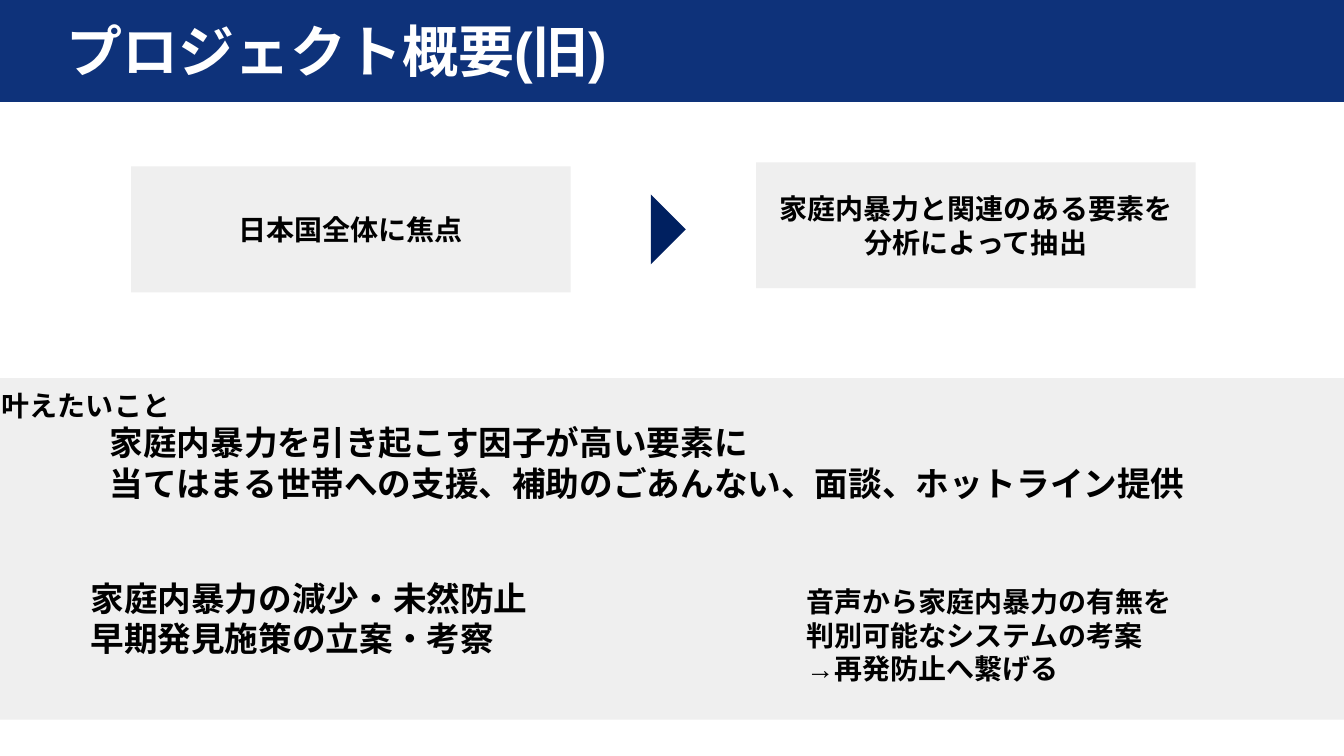
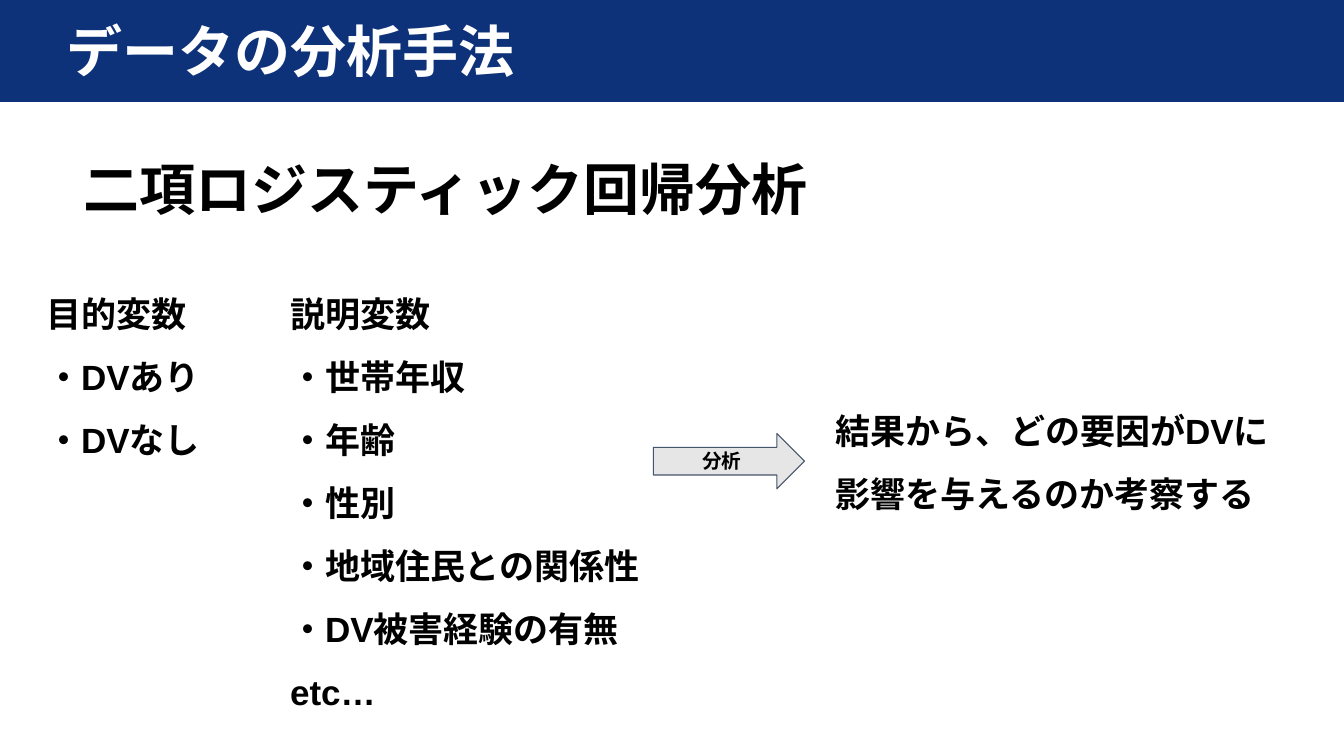
"""Build two slides on a project overview and its data analysis method."""
from dataclasses import dataclass

from lxml.etree import SubElement
from pptx import Presentation
from pptx.dml.color import RGBColor
from pptx.enum.lang import MSO_LANGUAGE_ID
from pptx.enum.shapes import MSO_SHAPE
from pptx.enum.text import MSO_ANCHOR, MSO_AUTO_SIZE, PP_ALIGN
from pptx.oxml.ns import qn
from pptx.util import Pt

PX = 9144


@dataclass(frozen=True)
class Theme:
    font: str = "Arial"
    band: RGBColor = RGBColor(0x0E, 0x32, 0x7A)
    marker: RGBColor = RGBColor(0x00, 0x20, 0x60)
    panel: RGBColor = RGBColor(0xEF, 0xEF, 0xEF)
    arrow: RGBColor = RGBColor(0xE7, 0xE6, 0xE6)
    outline: RGBColor = RGBColor(0x44, 0x54, 0x6A)
    ink: RGBColor = RGBColor(0x00, 0x00, 0x00)
    paper: RGBColor = RGBColor(0xFF, 0xFF, 0xFF)
    title: int = 40
    variable: int = 25
    goal: int = 24
    body: int = 20
    label: int = 14


THEME = Theme()


def write(box, lines, size, color=THEME.ink, align=PP_ALIGN.LEFT,
          anchor=MSO_ANCHOR.TOP, left=10, right=10, spacing=1.0, hanging=0):
    """Fill a shape with bold paragraphs in the shared font."""
    frame = box.text_frame
    frame_format = {
        "word_wrap": True, "auto_size": MSO_AUTO_SIZE.NONE, "vertical_anchor": anchor,
        "margin_left": left * PX, "margin_right": right * PX,
        "margin_top": 10 * PX, "margin_bottom": 10 * PX,
    }
    for name, value in frame_format.items():
        setattr(frame, name, value)
    font_format = {"name": THEME.font, "size": Pt(size), "bold": True,
                   "language_id": MSO_LANGUAGE_ID.JAPANESE}
    for index, line in enumerate(lines):
        para = frame.add_paragraph() if index else frame.paragraphs[0]
        para.alignment = align
        para.line_spacing = spacing
        if hanging:
            properties = para._p.get_or_add_pPr()
            properties.set("marL", str(hanging * PX))
            properties.set("indent", str(-hanging * PX))
        span = para.add_run()
        span.text = line
        for name, value in font_format.items():
            setattr(span.font, name, value)
        span.font.color.rgb = color
        SubElement(span._r.get_or_add_rPr(), qn("a:ea"), typeface=THEME.font)


def draw(page, kind, at, fill, outline=None):
    """Add a flat preset shape."""
    shape = page.shapes.add_shape(kind, *(length * PX for length in at))
    shape.shadow.inherit = False
    shape.fill.solid()
    shape.fill.fore_color.rgb = fill
    if outline is None:
        shape.line.fill.background()
    else:
        shape.line.color.rgb = outline
        shape.line.width = Pt(0.75)
    return shape


deck = Presentation()
deck.slide_width, deck.slide_height = 1333 * PX, 750 * PX

pages = []
for title in ("プロジェクト概要(旧)", "データの分析手法"):
    page = deck.slides.add_slide(deck.slide_layouts[5])
    band = page.shapes.title
    band_format = {"left": 0, "top": -2 * PX, "width": deck.slide_width, "height": 103 * PX}
    for name, value in band_format.items():
        setattr(band, name, value)
    band.fill.solid()
    band.fill.fore_color.rgb = THEME.band
    write(band, [title], THEME.title, THEME.paper, anchor=MSO_ANCHOR.MIDDLE, left=66)
    pages.append(page)
overview, method = pages

draw(overview, MSO_SHAPE.RECTANGLE, (0, 375, 1333, 339), THEME.panel)
for left, top, text in (
    (130, 165, "日本国全体に焦点"),
    (750, 161, "家庭内暴力と関連のある要素を分析によって抽出"),
):
    card = draw(overview, MSO_SHAPE.RECTANGLE, (left, top, 436, 125), THEME.panel)
    write(card, [text], THEME.body, align=PP_ALIGN.CENTER,
          anchor=MSO_ANCHOR.MIDDLE, left=15, right=15)
marker = draw(overview, MSO_SHAPE.RIGHT_TRIANGLE, (621, 203, 49, 49), THEME.marker)
marker.rotation = 225

goal = {"size": THEME.goal}
body = {"size": THEME.body}
heading = {"size": THEME.title}
result = {"size": THEME.variable, "spacing": 1.5}
variables = {**result, "hanging": 41}

for page, at, style, lines in (
    (overview, (-8, 375, 200, 54), body, ["叶えたいこと"]),
    (overview, (99, 409, 1112, 101), goal, [
        "家庭内暴力を引き起こす因子が高い要素に",
        "当てはまる世帯への支援、補助のごあんない、面談、ホットライン提供"]),
    (overview, (80, 563, 490, 101), goal, [
        "家庭内暴力の減少・未然防止", "早期発見施策の立案・考察"]),
    (overview, (790, 570, 462, 121), body, [
        "音声から家庭内暴力の有無を", "判別可能なシステムの考案", "→再発防止へ繋げる"]),
    (method, (73, 143, 848, 88), heading, ["二項ロジスティック回帰分析"]),
    (method, (36, 259, 220, 189), variables, ["目的変数", "・DVあり", "・DVなし"]),
    (method, (278, 259, 381, 441), variables, [
        "説明変数", "・世帯年収", "・年齢", "・性別",
        "・地域住民との関係性", "・DV被害経験の有無", "etc…"]),
    (method, (819, 375, 509, 125), result, [
        "結果から、どの要因がDVに", "影響を与えるのか考察する"]),
):
    box = page.shapes.add_textbox(*(length * PX for length in at))
    write(box, lines, **style)

arrow = draw(method, MSO_SHAPE.RIGHT_ARROW, (648, 430, 150, 55), THEME.arrow, THEME.outline)
write(arrow, ["分析"], THEME.label, align=PP_ALIGN.CENTER, anchor=MSO_ANCHOR.MIDDLE)

deck.save("out.pptx")
